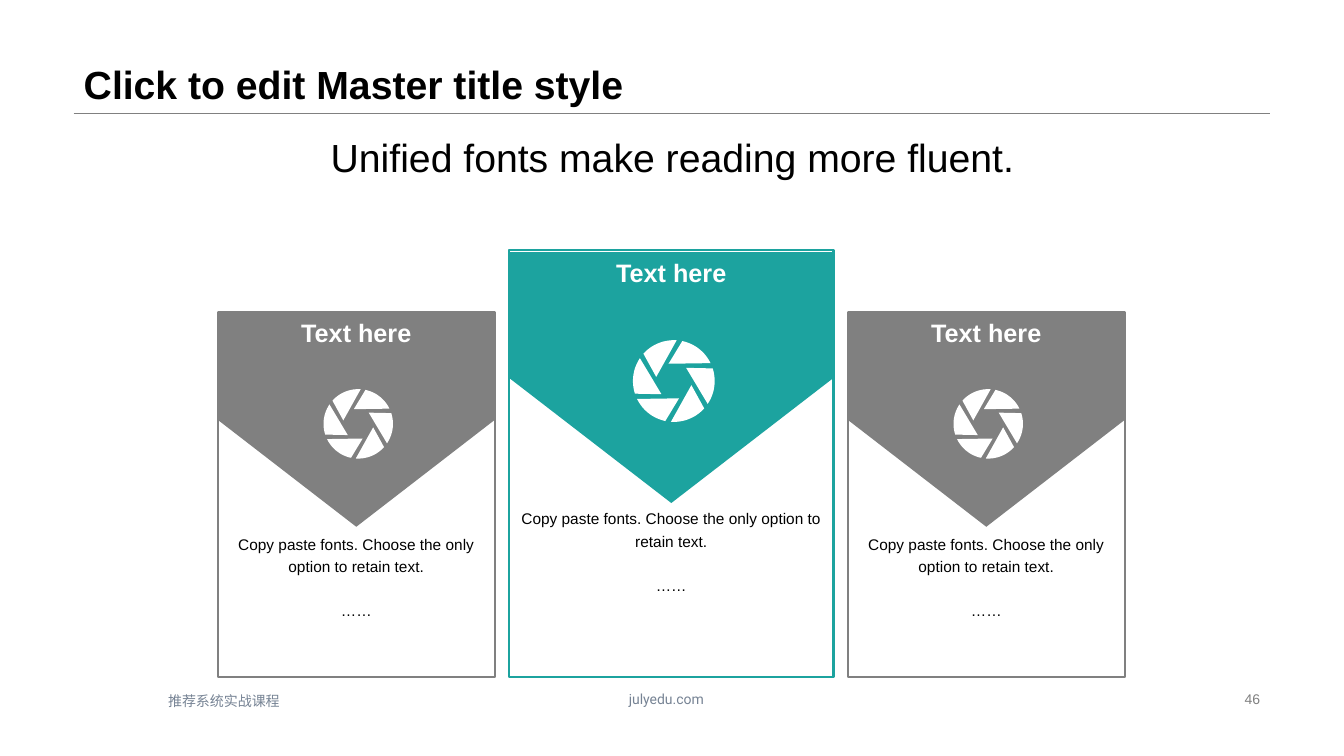
from math import cos, sin, radians

from pptx import Presentation
from pptx.dml.color import RGBColor
from pptx.enum.shapes import MSO_CONNECTOR, MSO_SHAPE
from pptx.enum.text import MSO_ANCHOR as ANCHOR, PP_ALIGN as ALIGN
from pptx.oxml.ns import qn
from pptx.util import Pt
from lxml import etree

BLACK = RGBColor(0x00, 0x00, 0x00)
WHITE = RGBColor(0xFF, 0xFF, 0xFF)
GREY = RGBColor(0x80, 0x80, 0x80)
TEAL = RGBColor(0x1C, 0xA3, 0x9F)
SLATE = RGBColor(0x76, 0x83, 0x94)


def style(p, size, color, align=ALIGN.LEFT, bold=False, name="Arial"):
    p.alignment = align
    p.font.size, p.font.name, p.font.bold = Pt(size), name, bold
    p.font.color.rgb = color


def add_text(s, x, y, w, h, lines, size, color, align, anchor=ANCHOR.TOP, name="Arial"):
    tf = s.shapes.add_textbox(Pt(x), Pt(y), Pt(w), Pt(h)).text_frame
    tf.word_wrap, tf.vertical_anchor = True, anchor
    tf.text = "\n".join(lines)
    for p in tf.paragraphs:
        style(p, size, color, align, name=name)
    return tf


prs = Presentation()
prs.slide_width, prs.slide_height = Pt(960), Pt(540)
s = prs.slides.add_slide(prs.slide_layouts[5])

# Title with rule below
title = s.shapes.title
title.left, title.top, title.width, title.height = Pt(52.6), Pt(0), Pt(854.6), Pt(80.6)
title.text_frame.text = "Click to edit Master title style"
title.text_frame.vertical_anchor = ANCHOR.BOTTOM
p = title.text_frame.paragraphs[0]
style(p, 28, BLACK, bold=True)
p.line_spacing = 0.9

rule = s.shapes.add_connector(MSO_CONNECTOR.STRAIGHT, Pt(52.6), Pt(80.6), Pt(907.2), Pt(80.6))
rule.line.color.rgb, rule.line.width = GREY, Pt(0.25)
etree.SubElement(rule._element.spPr, qn("a:effectLst"))

# Cards: centre, top, width, colour, banner top, banner length, icon centre, radius, body top
BOTTOM = 483.8
side = (223.2, 198, GREY, 222.9, 153.4, 1.4, 302.8, 24.8, 375.8)
middle = (178.6, 231.8, TEAL, 180, 179.3, 1.8, 272.2, 29.2, 357.8)
for i, card in enumerate((side, middle, side)):
    top, width, color, banner_top, length, icon_dx, icon_y, radius, body_top = card
    cx = 254.5 + 225 * i

    # Frame
    sp = s.shapes.add_shape(MSO_SHAPE.RECTANGLE, Pt(cx - width / 2), Pt(top),
                            Pt(width), Pt(BOTTOM - top))
    sp.shadow.inherit = False
    sp.fill.background()
    sp.line.color.rgb, sp.line.width = color, Pt(1.5)

    # Banner pointing down, with upright heading
    breadth = width + 0.7
    sp = s.shapes.add_shape(MSO_SHAPE.PENTAGON, Pt(cx - length / 2),
                            Pt(banner_top + (length - breadth) / 2), Pt(length), Pt(breadth))
    sp.rotation = 90
    sp.shadow.inherit = False
    sp.fill.solid()
    sp.fill.fore_color.rgb = color
    sp.line.fill.background()
    tf = sp.text_frame
    tf.text = "Text here"
    tf.vertical_anchor = ANCHOR.TOP
    sp._element.txBody.bodyPr.set("vert", "vert270")
    style(tf.paragraphs[0], 18, WHITE, ALIGN.CENTER, bold=True)

    # Aperture icon: one blade turned six times
    blade = [(cos(radians(a)), sin(radians(a))) for a in range(-138, -84, 4)] + [(-0.43, -0.1)]
    outline = None
    for turn in range(0, 360, 60):
        c, d = cos(radians(turn)), sin(radians(turn))
        pts = [(Pt(cx + icon_dx + radius * (c * x - d * y)), Pt(icon_y + radius * (d * x + c * y)))
               for x, y in blade]
        if outline is None:
            outline = s.shapes.build_freeform(*pts[0], scale=1.0)
        else:
            outline.move_to(*pts[0])
        outline.add_line_segments(pts[1:], close=True)
    sp = outline.convert_to_shape()
    sp.shadow.inherit = False
    sp.fill.solid()
    sp.fill.fore_color.rgb = WHITE
    sp.line.fill.background()

    # Body text
    tf = add_text(s, cx - width / 2, body_top, width, 75,
                  ["Copy paste fonts. Choose the only option to retain text.", "……"],
                  11, BLACK, ALIGN.CENTER)
    for p in tf.paragraphs:
        p.line_spacing = 1.2
    tf.paragraphs[1].space_before = Pt(16)

# Subtitle
add_text(s, 53.3, 89.3, 853.9, 46, ["Unified fonts make reading more fluent."],
         28, BLACK, ALIGN.CENTER, ANCHOR.MIDDLE)

# Footer
add_text(s, 113, 491, 326.2, 16.6, ["推荐系统实战课程"], 10, SLATE, ALIGN.LEFT)
add_text(s, 381.6, 489.6, 188.6, 19.4, ["julyedu.com"], 10, SLATE, ALIGN.CENTER, name="Roboto")
add_text(s, 678.2, 491, 229, 16.6, ["46"], 10, GREY, ALIGN.RIGHT, ANCHOR.MIDDLE)

prs.save("out.pptx")
